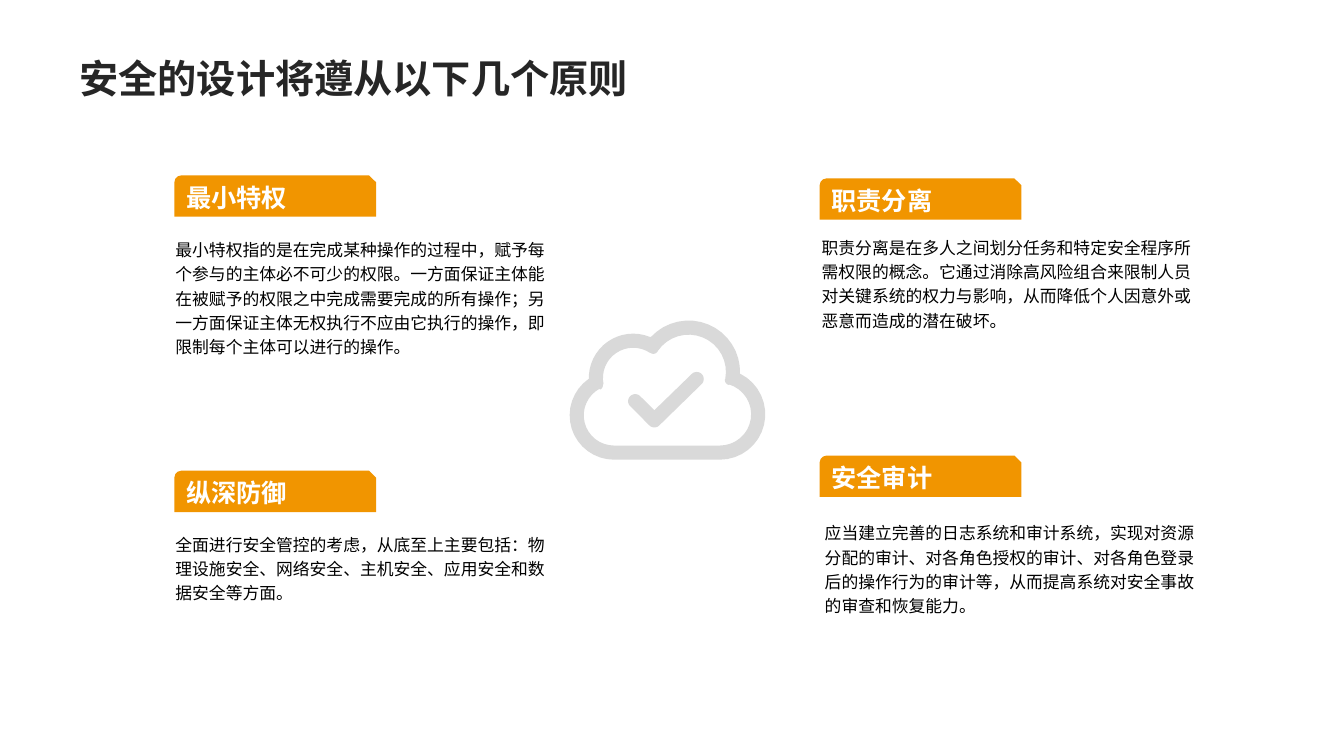
from dataclasses import dataclass
from math import cos, radians, sin

from lxml import etree
from pptx import Presentation
from pptx.dml.color import RGBColor
from pptx.enum.shapes import MSO_SHAPE
from pptx.enum.text import MSO_ANCHOR, PP_ALIGN
from pptx.oxml.ns import qn
from pptx.util import Pt

PX = 9144
SNIP = MSO_SHAPE.SNIP_ROUND_RECTANGLE
MIDDLE = MSO_ANCHOR.MIDDLE
LEFT = PP_ALIGN.LEFT


@dataclass(frozen=True)
class Theme:
    ink: RGBColor = RGBColor.from_string("262626")
    black: RGBColor = RGBColor.from_string("000000")
    white: RGBColor = RGBColor.from_string("FFFFFF")
    orange: RGBColor = RGBColor.from_string("F19500")
    gray: RGBColor = RGBColor.from_string("D9D9D9")
    title: int = 28
    head: int = 18
    body: int = 12
    sans: str = "Noto Sans CJK JP"
    latin: str = "Arial"


theme = Theme()


def write(shape, text, size, color, face, bold=False):
    shape.text_frame.word_wrap = True
    para = shape.text_frame.paragraphs[0]
    para.text = text
    para.alignment = LEFT
    font = para.font
    font.size, font.bold, font.name = Pt(size), bold, face
    font.color.rgb = color
    props = para._p.pPr.find(qn("a:defRPr"))
    etree.SubElement(props, qn("a:ea"), typeface=theme.sans)
    return para


def trace(arcs, steps=16):
    points = []
    for x, y, radius, start, end in arcs:
        for step in range(steps + 1):
            angle = radians(start + (end - start) * step / steps)
            points.append((round((x + radius * cos(angle)) * PX),
                           round((y + radius * sin(angle)) * PX)))
    return points


deck = Presentation()
deck.slide_width, deck.slide_height = 1333 * PX, 750 * PX
slide = deck.slides.add_slide(deck.slide_layouts[6])
shapes = slide.shapes

title = shapes.add_textbox(69 * PX, 49 * PX, 588 * PX, 57 * PX)
write(title, "安全的设计将遵从以下几个原则", theme.title, theme.ink, theme.sans, True)

outer = [(609, 412, 44, 90, 235), (628, 375, 44, 177, 292),
         (683, 369, 51, 223, 362), (714, 411, 45, 297, 450)]
inner = [(609, 412, 30, 90, 242), (593, 382, 5, 65, -10),
         (628, 375, 30, 168, 304), (648, 346, 5, 125, 25),
         (683, 369, 37, 214, 371), (724, 377, 5, 190, 100),
         (714, 411, 31, 287, 450)]
check = [(691, 376, 7, -135, 45), (649, 417, 7, 45, 135),
         (630, 398, 7, 135, 315), (649, 407, 0, 0, 0)]

first, *rest = trace(outer)
pen = shapes.build_freeform(*first, scale=1.0)
pen.add_line_segments(rest, close=True)
for arcs in (inner, check):
    first, *rest = trace(arcs)
    pen.move_to(*first)
    pen.add_line_segments(rest, close=True)
cloud = pen.convert_to_shape()
cloud.shadow.inherit = False
cloud.fill.solid()
cloud.fill.fore_color.rgb = theme.gray
cloud.line.fill.background()

rules = [
    ("最小特权", (173, 174), (135, 224, 406, 140),
     "最小特权指的是在完成某种操作的过程中，赋予每个参与的主体必不可少的权限。"
     "一方面保证主体能在被赋予的权限之中完成需要完成的所有操作；"
     "另一方面保证主体无权执行不应由它执行的操作，即限制每个主体可以进行的操作。"),
    ("职责分离", (813, 177), (776, 218, 416, 124),
     "职责分离是在多人之间划分任务和特定安全程序所需权限的概念。"
     "它通过消除高风险组合来限制人员对关键系统的权力与影响，"
     "从而降低个人因意外或恶意而造成的潜在破坏。"),
    ("纵深防御", (173, 467), (135, 493, 406, 139),
     "全面进行安全管控的考虑，从底至上主要包括："
     "物理设施安全、网络安全、主机安全、应用安全和数据安全等方面。"),
    ("安全审计", (813, 452), (779, 508, 410, 110),
     "应当建立完善的日志系统和审计系统，实现对资源分配的审计、"
     "对各角色授权的审计、对各角色登录后的操作行为的审计等，"
     "从而提高系统对安全事故的审查和恢复能力。"),
]

for name, (left, top), box, text in rules:
    label = shapes.add_shape(SNIP, left * PX, top * PX, 200 * PX, 41 * PX)
    label.shadow.inherit = False
    label.fill.solid()
    label.fill.fore_color.rgb = theme.orange
    label.line.fill.background()
    label.text_frame.vertical_anchor = MIDDLE
    write(label, name, theme.head, theme.white, theme.latin, True)

    note = shapes.add_textbox(*(side * PX for side in box))
    frame = note.text_frame
    frame.vertical_anchor = MIDDLE
    frame.margin_left = 39 * PX
    frame.margin_top = frame.margin_right = frame.margin_bottom = 0
    para = write(note, text, theme.body, theme.black, theme.sans)
    para.line_spacing = 1.2

deck.save("out.pptx")
